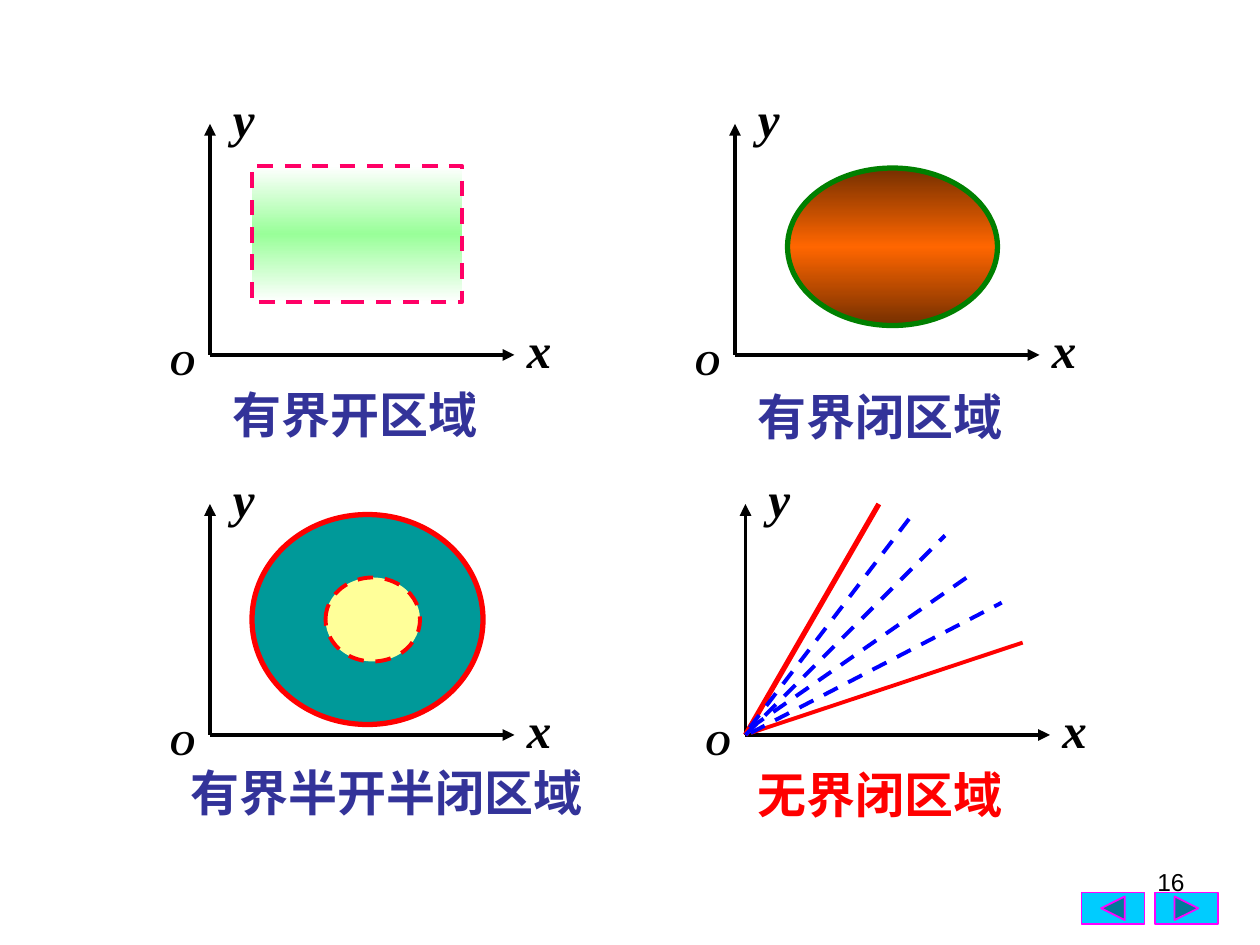
"""Four coordinate panels showing kinds of plane regions."""
from copy import deepcopy

from lxml import etree
from pptx import Presentation
from pptx import util as u
from pptx.dml.color import RGBColor
from pptx.enum import dml, shapes, text
from pptx.oxml import ns

COLORS = {
    "black": "000000", "white": "FFFFFF", "indigo": "333399", "red": "FF0000",
    "blue": "0000FF", "pink": "FF0066", "mint": "99FF99", "brown": "752F00",
    "orange": "FF6600", "green": "008000", "teal": "009999", "cream": "FFFF99",
    "sky": "00CCFF", "magenta": "FF00FF",
}
KIND = shapes.MSO_SHAPE
COLUMNS = 120
AXIS_X, AXIS_Y = 29, 22
AXIS_LABELS = [("O", -5, -2, 7, 5.3, 20), ("x", 29, -4, 9, 6.8, 28), ("y", 1, -26, 12, 6.8, 28)]

PANELS = [
    {"origin": (20, 33.8), "caption": ("有界开区域", 1, 2.2, 31, "indigo"),
     "regions": [(KIND.RECTANGLE, (4, -18, 20, 13), ("white", "mint", "white"), "pink", 2.25, True)]},
    {"origin": (70, 33.8), "caption": ("有界闭区域", 1, 2.4, 28, "indigo"),
     "regions": [(KIND.OVAL, (5, -17.8, 20, 15), ("brown", "orange", "brown"), "green", 3, False)]},
    {"origin": (20, 70), "caption": ("有界半开半闭区域", -3, 2, 41, "indigo"),
     "regions": [(KIND.OVAL, (4, -21, 22, 20), ("teal",), "red", 3, False),
                 (KIND.OVAL, (11, -15, 9, 8), ("cream",), "red", 2.25, True)]},
    {"origin": (71, 70), "caption": ("无界闭区域", 0, 2.2, 29, "red"),
     "rays": [((0.5, -0.2), (26.4, -8.8), "red", 2.25, False),
              ((0, 0), (12.7, -22), "red", 3, False),
              ((0, 0), (19, -19), "blue", 2.25, True),
              ((0.5, -0.7), (21.5, -15.3), "blue", 2.25, True),
              ((0.5, -0.2), (24.4, -12.6), "blue", 2.25, True),
              ((0.4, -0.7), (15.9, -21), "blue", 2.25, True)]},
]
BUTTONS = [(KIND.ACTION_BUTTON_FORWARD_OR_NEXT, 110), (KIND.ACTION_BUTTON_BACK_OR_PREVIOUS, 103)]

presentation = Presentation()
presentation.slide_width, presentation.slide_height = u.Inches(10), u.Inches(7.5)
slide = presentation.slides.add_slide(presentation.slide_layouts[6])
cell = presentation.slide_width / COLUMNS


def color(name):
    return RGBColor.from_string(COLORS[name])


def place(origin, box):
    left, top, width, height = box
    return [round(cell * value) for value in (origin[0] + left, origin[1] + top, width, height)]


def style_line(line, name, width, dashed=False):
    line.color.rgb = color(name)
    line.width = u.Pt(width)
    if dashed:
        line.dash_style = dml.MSO_LINE.DASH


def fill_shape(fill, names):
    if len(names) == 1:
        fill.solid()
        fill.fore_color.rgb = color(names[0])
        return
    fill.gradient()
    fill.gradient_angle = 90
    first = fill.gradient_stops[0]._gs
    first.addnext(deepcopy(first))
    for index, (stop, name) in enumerate(zip(fill.gradient_stops, names)):
        stop.position = index / (len(names) - 1)
        stop.color.rgb = color(name)


def add_region(parent, origin, kind, box, fills, line, width, dashed):
    shape = parent.add_shape(kind, *place(origin, box))
    shape.shadow.inherit = False
    fill_shape(shape.fill, fills)
    style_line(shape.line, line, width, dashed)


def add_line(parent, origin, start, end, name, width, dashed=False, arrow=False):
    points = [round(cell * (base + step)) for point in (start, end) for base, step in zip(origin, point)]
    connector = parent.add_connector(shapes.MSO_CONNECTOR.STRAIGHT, *points)
    style_line(connector.line, name, width, dashed)
    properties = connector._element.spPr
    if arrow:
        etree.SubElement(properties.find(ns.qn("a:ln")), ns.qn("a:tailEnd"), type="triangle")
    etree.SubElement(properties, ns.qn("a:effectLst"))


def add_text(parent, origin, box, words, size, name="black", font="Times New Roman",
             bold=True, italic=False, align=text.PP_ALIGN.LEFT):
    frame = parent.add_textbox(*place(origin, box)).text_frame
    frame.word_wrap = True
    paragraph = frame.paragraphs[0]
    paragraph.alignment = align
    run = paragraph.add_run()
    run.text = words
    run.font.name, run.font.size = font, u.Pt(size)
    run.font.bold, run.font.italic = bold, italic
    run.font.color.rgb = color(name)


for kind, left in BUTTONS:
    add_region(slide.shapes, (0, 0), kind, (left, 85, 6, 3), ("sky",), "magenta", 1, False)

for panel in PANELS:
    origin = panel["origin"]
    group = slide.shapes.add_group_shape().shapes
    for region in panel.get("regions", []):
        add_region(group, origin, *region)
    for end in [(AXIS_X, 0), (0, -AXIS_Y)]:
        add_line(group, origin, (0, 0), end, "black", 2.25, arrow=True)
    for words, *box, size in AXIS_LABELS:
        add_text(group, origin, box, words, size, italic=True)
    for ray in panel.get("rays", []):
        add_line(group, origin, *ray)
    words, left, top, width, name = panel["caption"]
    add_text(slide.shapes, origin, (left, top, width, 6.8), words, 28, name)

add_text(slide.shapes, (0, 0), (86, 82, 28, 6.2), "16", 14, font="Arial", bold=False,
         align=text.PP_ALIGN.RIGHT)
presentation.save("out.pptx")
